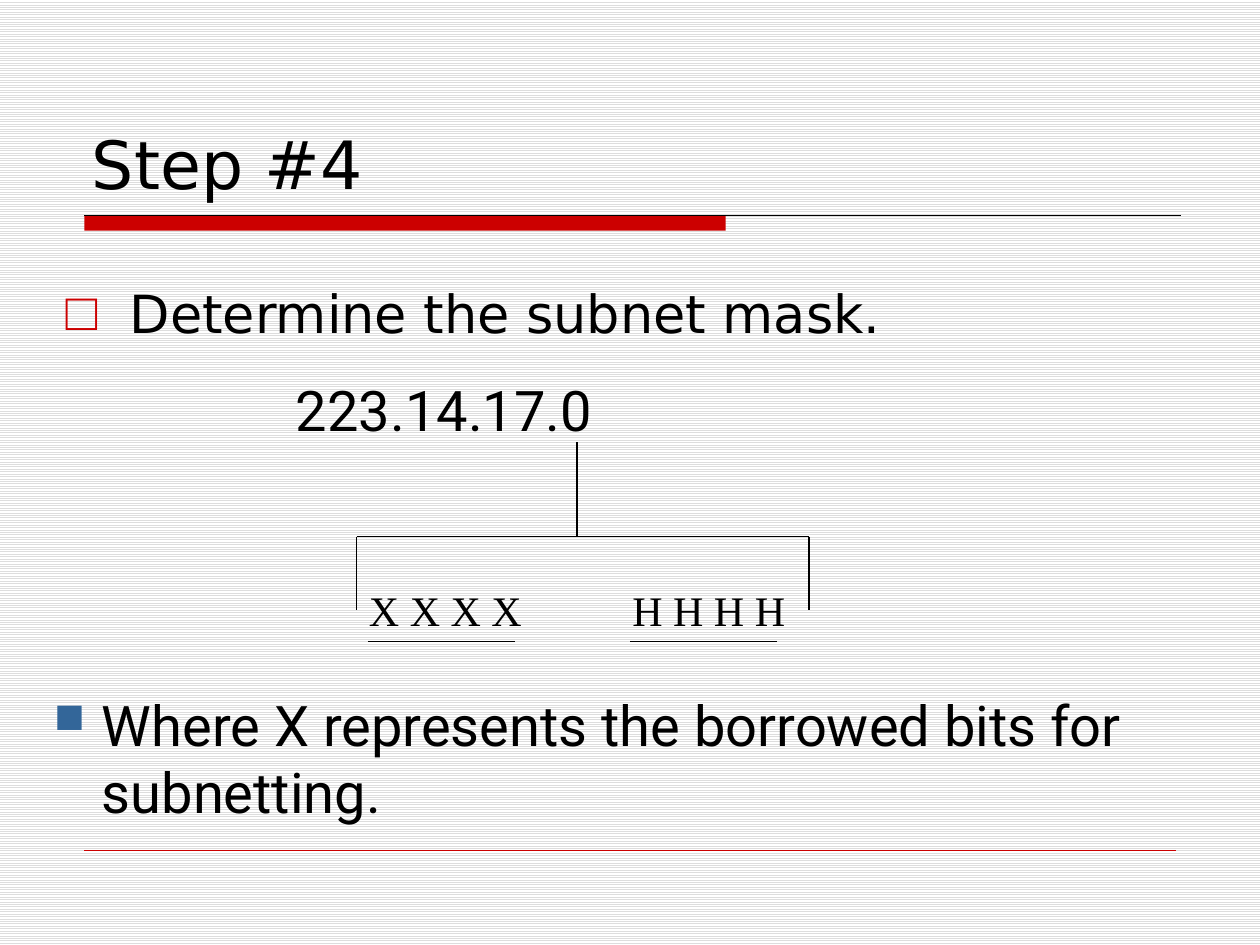
from lxml import etree
from pptx import Presentation
from pptx.dml.color import RGBColor as RGB
from pptx.enum.dml import MSO_PATTERN
from pptx.enum.shapes import MSO_CONNECTOR, MSO_SHAPE
from pptx.enum.text import MSO_ANCHOR, MSO_AUTO_SIZE, PP_ALIGN
from pptx.oxml.ns import qn
from pptx.util import Inches, Pt

THEME = {
    "black": RGB(0, 0, 0),
    "red": RGB(0xCC, 0, 0),
    "blue": RGB(0x33, 0x66, 0x99),
    "stripe": RGB(0xDD, 0xDD, 0xDD),
    "white": RGB(0xFF, 0xFF, 0xFF),
    "title": {"name": "DejaVu Sans", "size": Pt(38)},
    "body": {"name": "DejaVu Sans", "size": Pt(30)},
    "note": {"name": "Roboto", "size": Pt(32)},
    "bits": {"name": "Times New Roman", "size": Pt(24)},
}


def set_text(sp, box, text, style, bullet=None):
    """Place a text shape and fill it; bullet is (char, colour, percent, indent)."""
    sp.left, sp.top, sp.width, sp.height = [Inches(v) for v in box]
    tf = sp.text_frame
    tf.word_wrap, tf.auto_size = True, MSO_AUTO_SIZE.NONE
    p = tf.paragraphs[0]
    p.alignment, p.space_before = PP_ALIGN.LEFT, Pt(0)
    if bullet:
        char, colour, percent, indent = bullet
        pPr = p._p.get_or_add_pPr()
        pPr.set("marL", str(Inches(indent)))
        pPr.set("indent", str(-Inches(indent)))
        clr = etree.SubElement(pPr, qn("a:buClr"))
        etree.SubElement(clr, qn("a:srgbClr"), val=str(colour))
        etree.SubElement(pPr, qn("a:buSzPct"), val=str(percent * 1000))
        etree.SubElement(pPr, qn("a:buChar"), char=char)
    r = p.add_run()
    r.text = text
    for key, value in THEME[style].items():
        setattr(r.font, key, value)
    r.font.color.rgb = THEME["black"]
    return tf


def add_line(shapes, x1, y1, x2, y2, colour="black", width=0.75):
    ends = [Inches(v) for v in (x1, y1, x2, y2)]
    ln = shapes.add_connector(MSO_CONNECTOR.STRAIGHT, *ends)
    ln.line.color.rgb = THEME[colour]
    ln.line.width = Pt(width)
    etree.SubElement(ln._element.spPr, qn("a:effectLst"))


prs = Presentation()
prs.slide_width, prs.slide_height = Inches(10), Inches(7.5)
s = prs.slides.add_slide(prs.slide_layouts[1])

# Striped background
fill = s.background.fill
fill.patterned()
fill.pattern = MSO_PATTERN.LIGHT_HORIZONTAL
fill.fore_color.rgb = THEME["stripe"]
fill.back_color.rgb = THEME["white"]

# Title rule and footer rule
bar = s.shapes.add_shape(MSO_SHAPE.RECTANGLE, Inches(0.67), Inches(1.71),
                         Inches(5.09), Inches(0.12))
bar.shadow.inherit = False
bar.fill.solid()
bar.fill.fore_color.rgb = THEME["red"]
bar.line.fill.background()
add_line(s.shapes, 0.67, 1.71, 9.37, 1.71)
add_line(s.shapes, 0.67, 6.75, 9.33, 6.75, "red", 0.25)

# Title and first bullet
tf = set_text(s.shapes.title, (0.63, 0.33, 8.75, 1.33), "Step #4", "title")
tf.vertical_anchor = MSO_ANCHOR.BOTTOM
set_text(s.placeholders[1], (0.42, 2.18, 8.5, 0.75), "Determine the subnet mask.",
         "body", ("□", THEME["red"], 100, 0.51))

# Address diagram: labels
diagram = s.shapes.add_group_shape().shapes
for box, text, style in [
    ((2.25, 2.93, 2.58, 0.63), "223.14.17.0", "note"),
    ((2.83, 4.59, 1.67, 0.5), "X X X X", "bits"),
    ((4.92, 4.59, 1.5, 0.5), "H H H H", "bits"),
]:
    set_text(diagram.add_textbox(0, 0, 0, 0), box, text, style)

# Address diagram: stem, bracket and underlines
left, right, top, bottom, base = 2.83, 6.42, 4.26, 4.84, 5.09
add_line(diagram, 4.58, 3.51, 4.58, top)
add_line(diagram, left, top, right, top)
for x in (left, right):
    add_line(diagram, x, top, x, bottom)
for x in (2.92, 5):
    add_line(diagram, x, base, x + 1.17, base)

# Closing bullet
set_text(s.shapes.add_textbox(0, 0, 0, 0), (0.33, 5.43, 9.42, 0.75),
         "Where X represents the borrowed bits for subnetting.",
         "note", ("■", THEME["blue"], 75, 0.38))

prs.save("out.pptx")
